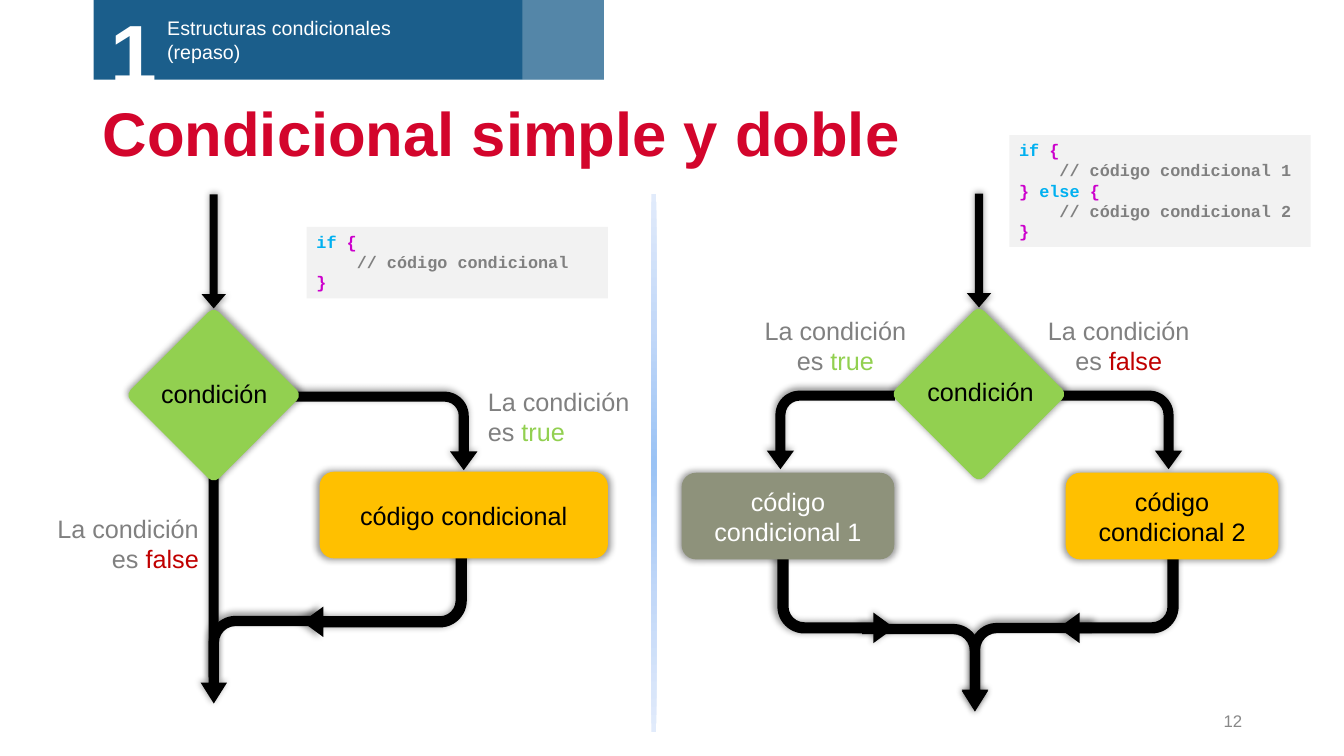
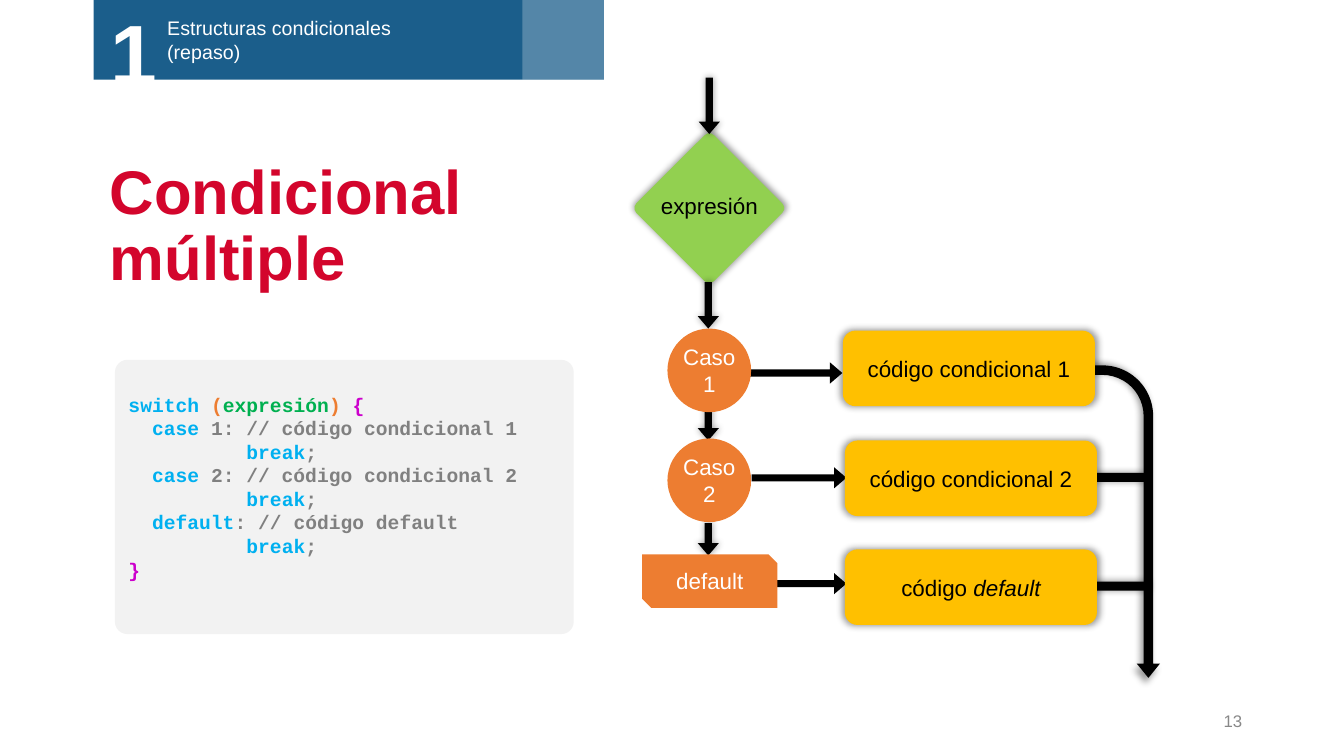
"""Build two slides on simple, double and multiple conditionals."""
from pptx import Presentation
from pptx.dml.color import RGBColor
from pptx.enum.shapes import MSO_SHAPE
from pptx.enum.text import MSO_ANCHOR, PP_ALIGN
from pptx.oxml import parse_xml
from pptx.oxml.ns import nsdecls, qn
from pptx.util import Inches, Pt

BLUE = RGBColor(0x1B, 0x5E, 0x8B)
RED = RGBColor(0xD3, 0x05, 0x2C)
WHITE = RGBColor(0xFF, 0xFF, 0xFF)
BLACK = RGBColor(0x00, 0x00, 0x00)
GRAY = RGBColor(0x80, 0x80, 0x80)
NUMBER_GRAY = RGBColor(0x88, 0x88, 0x88)
PALE = RGBColor(0xF2, 0xF2, 0xF2)
LIME = RGBColor(0x92, 0xD0, 0x50)
AMBER = RGBColor(0xFF, 0xC0, 0x00)
OLIVE = RGBColor(0x8E, 0x92, 0x7B)
ORANGE = RGBColor(0xED, 0x7D, 0x31)
DARK_RED = RGBColor(0xC0, 0x00, 0x00)
CYAN = RGBColor(0x00, 0xB0, 0xF0)
MAGENTA = RGBColor(0xCC, 0x00, 0xCC)
GREEN = RGBColor(0x00, 0xB0, 0x50)

LEFT, CENTER, RIGHT = PP_ALIGN.LEFT, PP_ALIGN.CENTER, PP_ALIGN.RIGHT
TOP, MIDDLE = MSO_ANCHOR.TOP, MSO_ANCHOR.MIDDLE
BEND = (0.128, 0.174, 0.238, 0.308)
MERGE = (0.117, 0.15, 0.238, 0.308)
LONG_BEND = (0.058, 0.071, 0.087, 0.308)
STRAIGHT = (0.333, 0.584)
DIAMOND = (0.061,)


def add_shape(page, kind, box, fill, shadow=True, rotation=0, flip="", adjust=()):
    """Add a filled preset shape without outline."""
    shape = page.shapes.add_shape(kind, *map(Inches, box))
    shape.fill.solid()
    shape.fill.fore_color.rgb = fill
    shape.line.fill.background()
    shape.shadow.inherit = False
    shape.rotation = rotation
    for index, value in enumerate(adjust):
        shape.adjustments[index] = value
    properties = shape.element.spPr
    for axis in flip:
        properties.find(qn("a:xfrm")).set("flip" + axis, "1")
    if shadow:
        properties.find(qn("a:effectLst")).append(parse_xml(
            f'<a:outerShdw {nsdecls("a")} blurRad="63500" sx="102000" sy="102000" '
            'algn="ctr" rotWithShape="0"><a:srgbClr val="000000">'
            '<a:alpha val="40000"/></a:srgbClr></a:outerShdw>'))
    return shape


def write(shape, lines, size, align=LEFT, anchor=TOP, font="Arial", bold=False, wrap=True):
    """Fill a shape with lines, each a list of (text, colour) spans."""
    frame = shape.text_frame
    frame.word_wrap = wrap
    frame.vertical_anchor = anchor
    for index, line in enumerate(lines):
        para = frame.add_paragraph() if index else frame.paragraphs[0]
        para.alignment = align
        para.font.name, para.font.size, para.font.bold = font, Pt(size), bold
        para.font.color.rgb = line[0][1]
        for text, color in line:
            span = para.add_run()
            span.text = text
            span.font.color.rgb = color
    return frame


deck = Presentation()
deck.slide_width, deck.slide_height = Inches(13.33), Inches(7.5)

pages = []
for title, title_box, number in [
    ("Condicional simple y doble", (0.92, 0.93, 11.5, 0.86), "12"),
    ("Condicional múltiple", (0.99, 1.46, 5.37, 1.59), "13"),
]:
    page = deck.slides.add_slide(deck.slide_layouts[6])
    pages.append(page)
    add_shape(page, MSO_SHAPE.RECTANGLE, (0.93, -0.01, 5.06, 0.8), BLUE, False)
    for box, lines, size, align, anchor, bold in [
        ((1.56, 0.11, 3.35, 0.57), ["Estructuras condicionales", "(repaso)"], 14, LEFT, TOP, False),
        ((1, -0.04, 1.12, 1.11), ["1"], 60, LEFT, TOP, True),
    ]:
        write(page.shapes.add_textbox(*map(Inches, box)),
              [[(line, WHITE)] for line in lines], size, align, anchor, bold=bold)
    veil = add_shape(page, MSO_SHAPE.RECTANGLE, (5.18, -0.01, 0.81, 0.8), WHITE, False)
    veil_color = veil.element.spPr.find(qn("a:solidFill")).find(qn("a:srgbClr"))
    veil_color.append(parse_xml(f'<a:alpha {nsdecls("a")} val="25000"/>'))
    heading = write(page.shapes.add_textbox(*map(Inches, title_box)),
                    [[(title, RED)]], 44, anchor=MIDDLE, bold=True)
    heading.paragraphs[0].line_spacing = 0.9
    write(page.shapes.add_textbox(*map(Inches, (9.42, 6.95, 3, 0.4))),
          [[(number, NUMBER_GRAY)]], 12, RIGHT, MIDDLE)

simple_page, multiple_page = pages

for box in [(2, 1.93, 0.24, 1.13), (9.59, 1.92, 0.24, 1.13)]:
    add_shape(simple_page, MSO_SHAPE.DOWN_ARROW, box, BLACK, adjust=STRAIGHT)
for box, rotation, flip, adjust in [
    ((3.41, 3.34, 0.78, 1.87), 90, "", BEND),
    ((2.15, 5.95, 0.87, 1.19), 90, "V", MERGE),
    ((3, 5.45, 1.63, 0.87), 180, "", BEND),
    ((10.7, 3.63, 0.78, 1.27), 90, "", BEND),
    ((9.75, 5.97, 0.87, 1.29), 90, "V", MERGE),
    ((10.5, 5.51, 1.19, 0.87), 180, "", BEND),
    ((7.85, 3.63, 0.78, 1.27), 270, "H", BEND),
    ((8.74, 6, 0.87, 1.25), 270, "HV", MERGE),
    ((7.71, 5.51, 1.16, 0.87), 180, "H", BEND),
]:
    add_shape(simple_page, MSO_SHAPE.BENT_ARROW, box, BLACK, True, rotation, flip, adjust)
add_shape(simple_page, MSO_SHAPE.RECTANGLE, (2.07, 4.69, 0.1, 2.03), BLACK)

for page, diamond_box, label_box, label, size in [
    (simple_page, (1.5, 3.3, 1.24, 1.24), (1.49, 3.7, 1.27, 0.4), "condición", 18),
    (simple_page, (9.09, 3.29, 1.24, 1.24), (9.09, 3.68, 1.27, 0.4), "condición", 18),
    (multiple_page, (6.49, 1.52, 1.09, 1.09), (6.45, 1.86, 1.17, 0.37), "expresión", 16),
]:
    add_shape(page, MSO_SHAPE.ROUNDED_RECTANGLE, diamond_box, LIME, rotation=315, adjust=DIAMOND)
    write(page.shapes.add_textbox(*map(Inches, label_box)),
          [[(label, BLACK)]], size, CENTER, wrap=False)

for box, outcome, color, align in [
    ((4.74, 3.78, 1.67, 0.71), "true", LIME, LEFT),
    ((0.46, 5.04, 1.61, 0.71), "false", DARK_RED, RIGHT),
    ((7.45, 3.08, 1.67, 0.71), "true", LIME, CENTER),
    ((10.29, 3.08, 1.61, 0.71), "false", DARK_RED, CENTER),
]:
    write(simple_page.shapes.add_textbox(*map(Inches, box)),
          [[("La condición es ", GRAY), (outcome, color)]], 18, align)

for box, label, fill, color in [
    ((3.17, 4.68, 2.86, 0.86), "código condicional", AMBER, BLACK),
    ((10.57, 4.69, 2.11, 0.86), "código condicional 2", AMBER, BLACK),
    ((6.76, 4.69, 2.11, 0.86), "código condicional 1", OLIVE, WHITE),
]:
    block = add_shape(simple_page, MSO_SHAPE.ROUNDED_RECTANGLE, box, fill)
    write(block, [[(label, color)]], 18, CENTER, MIDDLE)

opening = [("if ", CYAN), ("{", MAGENTA)]
closing = [("}", MAGENTA)]
for box, lines in [
    ((3.04, 2.25, 2.99, 0.71), [opening, [("    // código condicional", GRAY)], closing]),
    ((10.01, 1.34, 2.99, 1.11), [
        opening,
        [("    // código condicional 1", GRAY)],
        [("} ", MAGENTA), ("else ", CYAN), ("{", MAGENTA)],
        [("    // código condicional 2", GRAY)],
        closing,
    ]),
]:
    code = add_shape(simple_page, MSO_SHAPE.RECTANGLE, box, PALE, False)
    write(code, lines, 12, font="Courier New", bold=True)

divider = add_shape(simple_page, MSO_SHAPE.RECTANGLE, (6.46, 1.92, 0.05, 5.34), PALE, False)
solid = divider.element.spPr.find(qn("a:solidFill"))
stops = "".join(
    f'<a:gs pos="{position}"><a:srgbClr val="{color}"/></a:gs>'
    for position, color in [(0, "9AC3F5"), (50000, "C2D8F8"), (100000, "E1EBFB")])
solid.getparent().replace(solid, parse_xml(
    f'<a:gradFill {nsdecls("a")}><a:gsLst>{stops}</a:gsLst><a:path path="circle">'
    '<a:fillToRect l="50000" t="50000" r="50000" b="50000"/></a:path></a:gradFill>'))

for left, top, height in [
    (6.93, 0.77, 0.56), (6.92, 2.8, 0.46), (6.92, 4.05, 0.32), (6.92, 5.19, 0.32),
]:
    add_shape(multiple_page, MSO_SHAPE.DOWN_ARROW, (left, top, 0.21, height), BLACK, adjust=STRAIGHT)
for left, top in [(7.78, 3.23), (7.82, 4.27), (7.82, 5.32)]:
    add_shape(multiple_page, MSO_SHAPE.DOWN_ARROW, (left, top, 0.21, 0.94), BLACK, False,
              270, adjust=STRAIGHT)
for left, top in [(10.97, 4.39), (11.01, 5.47)]:
    add_shape(multiple_page, MSO_SHAPE.RECTANGLE, (left, top, 0.09, 0.69), BLACK, rotation=90)

for kind, box, label in [
    (MSO_SHAPE.OVAL, (6.62, 3.26, 0.83, 0.83), "Caso 1"),
    (MSO_SHAPE.OVAL, (6.62, 4.35, 0.83, 0.83), "Caso 2"),
    (MSO_SHAPE.SNIP_2_DIAG_RECTANGLE, (6.37, 5.5, 1.34, 0.53), "default"),
]:
    case = add_shape(multiple_page, kind, box, ORANGE, False)
    frame = write(case, [[(label, WHITE)]], 16, CENTER, MIDDLE)
    frame.margin_left = frame.margin_right = frame.margin_top = frame.margin_bottom = 0

add_shape(multiple_page, MSO_SHAPE.BENT_ARROW, (9.14, 4.36, 3.1, 1.63), BLACK,
          rotation=90, adjust=LONG_BEND)
for left, top, suffix in [
    (8.36, 3.28, "condicional 1"), (8.38, 4.37, "condicional 2"), (8.38, 5.45, "default"),
]:
    block = add_shape(multiple_page, MSO_SHAPE.ROUNDED_RECTANGLE, (left, top, 2.5, 0.75), AMBER)
    frame = write(block, [[("código ", BLACK), (suffix, BLACK)]], 16, CENTER, MIDDLE)
    frame.paragraphs[0].runs[1].font.italic = suffix == "default"

leave = [("          ", GRAY), ("break", CYAN), (";", GRAY)]
switch = add_shape(multiple_page, MSO_SHAPE.ROUNDED_RECTANGLE, (1.14, 3.57, 4.55, 2.72), PALE,
                   False, adjust=(0.045,))
frame = write(switch, [
    [("switch ", CYAN), ("(", ORANGE), ("expresión", GREEN), (") ", ORANGE), ("{", MAGENTA)],
    [("  case", CYAN), (" 1: // código condicional 1", GRAY)],
    leave,
    [("  case", CYAN), (" 2: // código condicional 2", GRAY)],
    leave,
    [("  default", CYAN), (": // código default", GRAY)],
    leave,
    closing,
], 14, font="Courier New", bold=True)
frame.margin_top = Inches(0.29)

deck.save("out.pptx")
